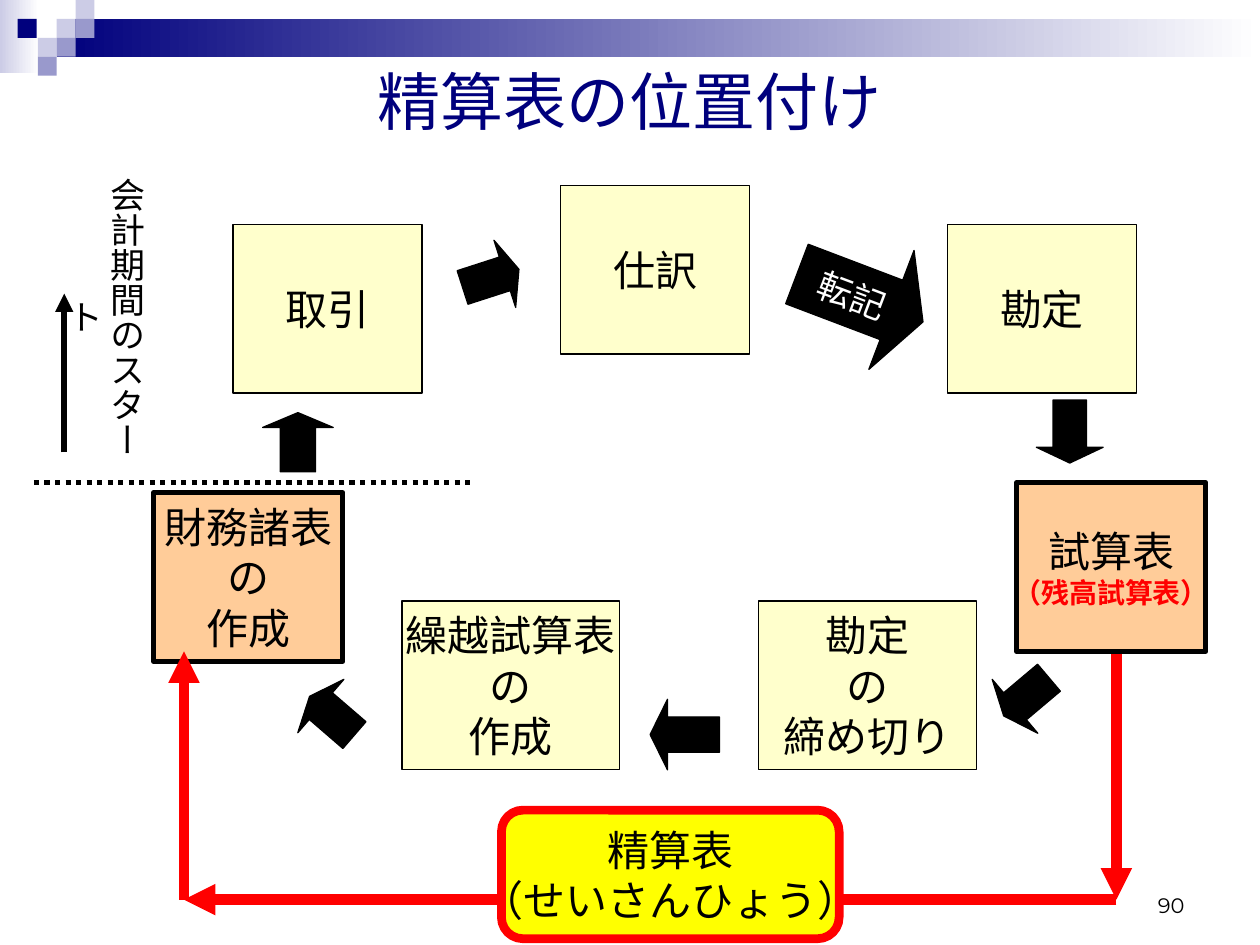
from lxml import etree
from pptx import Presentation
from pptx.dml.color import RGBColor
from pptx.enum.dml import MSO_LINE_DASH_STYLE as DASH
from pptx.enum.shapes import MSO_CONNECTOR, MSO_SHAPE as SHAPE
from pptx.enum.text import MSO_ANCHOR as ANCHOR, MSO_AUTO_SIZE as AUTO, PP_ALIGN as ALIGN
from pptx.oxml.ns import qn
from pptx.util import Inches, Pt

COLORS = {
    "navy": "00007D", "violet": "9999CC", "lavender": "CCCCE6", "white": "FFFFFF",
    "black": "000000", "cream": "FFFFCC", "peach": "FFCC99",
    "yellow": "FFFF00", "red": "FF0000",
}


def rgb(name):
    return RGBColor.from_string(COLORS[name])


class SlideBuilder:
    font = "Arial"

    def __init__(self, slide):
        self.slide = slide

    def fill_text(self, tf, lines, size, color="black", align=ALIGN.CENTER, font=None):
        """Add one paragraph per line; a line is text or (text, size, color, bold)."""
        for i, line in enumerate(lines):
            text, pt, name, bold = (line, size, color, False) if isinstance(line, str) else line
            p = tf.add_paragraph() if i else tf.paragraphs[0]
            p.text, p.alignment = text, align
            p.font.size, p.font.bold, p.font.name = Pt(pt), bold, font or self.font
            p.font.color.rgb = rgb(name)

    def shape(self, kind, x, y, w, h, fill, line=None, width=0.75):
        sp = self.slide.shapes.add_shape(kind, Inches(x), Inches(y), Inches(w), Inches(h))
        sp.shadow.inherit = False
        if isinstance(fill, tuple):
            sp.fill.gradient()
            sp.fill.gradient_angle = 0
            for stop, name in zip(sp.fill.gradient_stops, fill):
                stop.color.rgb = rgb(name)
        else:
            sp.fill.solid()
            sp.fill.fore_color.rgb = rgb(fill)
        if line:
            sp.line.color.rgb = rgb(line)
            sp.line.width = Pt(width)
        else:
            sp.line.fill.background()
        return sp

    def label(self, sp, lines, size, color="black"):
        tf = sp.text_frame
        tf.word_wrap, tf.vertical_anchor = False, ANCHOR.MIDDLE
        self.fill_text(tf, lines, size, color)

    def box(self, x, y, w, h, lines, fill="cream", line="black", width=0.75,
            kind=SHAPE.RECTANGLE):
        self.label(self.shape(kind, x, y, w, h, fill, line, width), lines, 24)

    def block_arrow(self, x, y, w, h, angle, head=0.25, text=None):
        sp = self.shape(SHAPE.RIGHT_ARROW, x, y, w, h, "black", "black")
        sp.adjustments[1] = head
        sp.rotation = angle
        if text:
            self.label(sp, [text], 20, "white")

    def line(self, start, end, color, width, dash=None, arrow=True):
        cx = self.slide.shapes.add_connector(
            MSO_CONNECTOR.STRAIGHT, *(Inches(v) for v in (*start, *end)))
        cx.line.color.rgb = rgb(color)
        cx.line.width = Pt(width)
        if dash:
            cx.line.dash_style = dash
        sp_pr = cx._element.spPr
        if arrow:
            etree.SubElement(sp_pr.find(qn("a:ln")), qn("a:tailEnd"), type="triangle")
        etree.SubElement(sp_pr, qn("a:effectLst"))

    def text(self, x, y, w, h, text, size, anchor=ANCHOR.TOP, **style):
        tb = self.slide.shapes.add_textbox(Inches(x), Inches(y), Inches(w), Inches(h))
        tf = tb.text_frame
        tf.word_wrap, tf.vertical_anchor = True, anchor
        self.fill_text(tf, [text], size, **style)
        return tb

    def vertical_text(self, x, y, w, h, text, size):
        tb = self.text(x, y, w, h, text, size)
        tb.text_frame.auto_size = AUTO.SHAPE_TO_FIT_TEXT
        tb.text_frame.paragraphs[0].space_before = Pt(size / 2)
        tb._element.txBody.find(qn("a:bodyPr")).set("vert", "eaVert")


def main():
    prs = Presentation()
    prs.slide_width, prs.slide_height = Inches(10), Inches(7.5)
    s = SlideBuilder(prs.slides.add_slide(prs.slide_layouts[6]))

    # Header bands and mosaic squares
    s.shape(SHAPE.RECTANGLE, 0, 0, 0.31, 0.58, ("lavender", "white"))
    s.shape(SHAPE.RECTANGLE, 0.45, 0.15, 9.55, 0.3, ("navy", "white"))
    for x, y, color in [
        (0.45, 0.15, "lavender"), (0.6, 0, "lavender"), (0.6, 0.15, "violet"),
        (0.3, 0.3, "lavender"), (0.14, 0.15, "navy"), (0.45, 0.3, "violet"),
        (0.3, 0.45, "violet"),
    ]:
        s.shape(SHAPE.RECTANGLE, x, y, 0.15, 0.15, color)

    # Page number and title
    s.text(7.17, 6.83, 2.33, 0.5, "90", 12, ANCHOR.BOTTOM, align=ALIGN.RIGHT, font="Montserrat")
    s.text(0.5, 0.05, 9, 1.5, "精算表の位置付け", 36, ANCHOR.MIDDLE, color="navy")

    # Block arrows around the cycle
    s.block_arrow(6.29, 1.86, 1.07, 1.01, 20.8, 0.265, "転記")
    s.block_arrow(8.24, 3.16, 0.5, 0.53, 90)
    s.block_arrow(5.16, 5.55, 0.55, 0.56, 180)
    for x, y, angle in [(7.91, 5.25, 139.8), (2.4, 5.4, 220.8),
                        (2.13, 3.23, 270), (3.66, 1.93, 342.1)]:
        s.block_arrow(x, y, 0.47, 0.56, angle)

    # Start of the accounting period
    s.line((0.27, 3.83), (3.74, 3.83), "black", 3, DASH.ROUND_DOT, arrow=False)
    s.line((0.51, 3.59), (0.51, 2.33), "black", 3.5)
    s.vertical_text(0.69, 1.31, 0.53, 2.52, "会計期間のスタート", 20)

    # Steps of the cycle
    for x, y, w, lines in [
        (4.45, 1.47, 1.5, ["仕訳"]),
        (7.52, 1.78, 1.5, ["勘定"]),
        (1.85, 1.78, 1.5, ["取引"]),
        (3.19, 4.77, 1.73, ["繰越試算表", "の", "作成"]),
        (6.02, 4.77, 1.73, ["勘定", "の", "締め切り"]),
    ]:
        s.box(x, y, w, 1.34, lines)
    s.box(1.22, 3.91, 1.5, 1.34, ["財務諸表", "の", "作成"], "peach", width=3)

    # Route from trial balance through the worksheet to the statements
    route = [(8.86, 5.17), (8.86, 7.14), (1.46, 7.14), (1.46, 5.17)]
    for start, end in zip(route, route[1:]):
        s.line(start, end, "red", 6)
    s.box(3.98, 6.43, 2.68, 1.02, ["精算表", "（せいさんひょう）"],
          "yellow", "red", 5, SHAPE.ROUNDED_RECTANGLE)
    s.box(8.07, 3.83, 1.5, 1.34, ["試算表", ("（残高試算表）", 16, "red", True)],
          "peach", width=3)

    prs.save("out.pptx")


if __name__ == "__main__":
    main()
